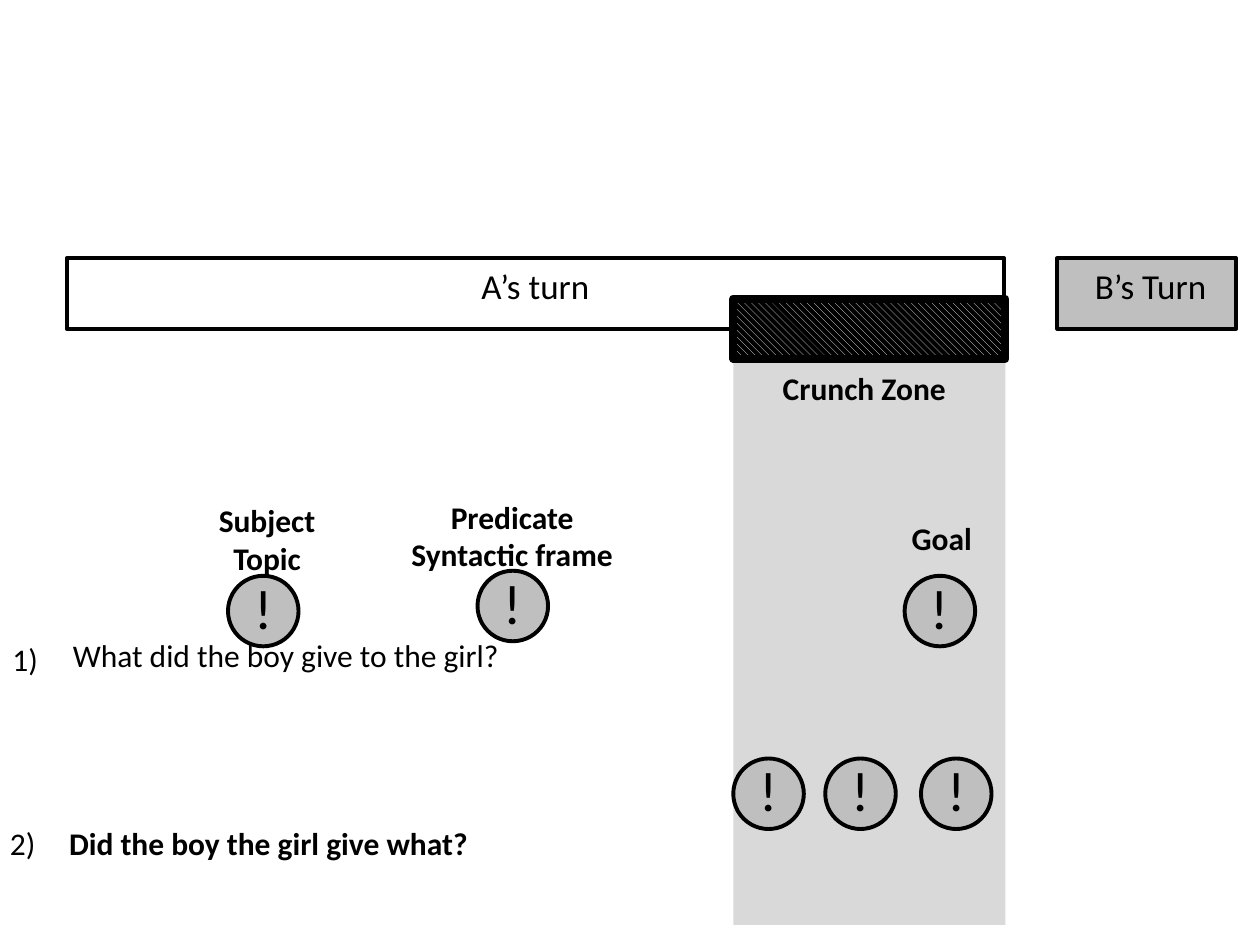
from pptx import Presentation
from pptx.dml.color import RGBColor
from pptx.enum.dml import MSO_PATTERN as PATTERN
from pptx.enum.shapes import MSO_SHAPE as SHAPE
from pptx.enum.text import MSO_ANCHOR as ANCHOR, MSO_AUTO_SIZE as AUTO_SIZE, PP_ALIGN as ALIGN
from pptx.util import Inches, Pt

BLACK = RGBColor(0x00, 0x00, 0x00)
WHITE = RGBColor(0xFF, 0xFF, 0xFF)
GREY = RGBColor(0xBF, 0xBF, 0xBF)
PALE_GREY = RGBColor(0xD9, 0xD9, 0xD9)

FONT = "Calibri"
ZONE_LEFT, ZONE_WIDTH = 5.82, 2.16
TURN_TOP, TURN_HEIGHT = 2.05, 0.56
MARK_SIZE = 0.56


def write_text(shape, text, size=18, bold=False, align=ALIGN.LEFT,
               anchor=ANCHOR.TOP, spacing=None, wrap=True):
    """Fill a shape with text, one paragraph a line."""
    frame = shape.text_frame
    frame.word_wrap = wrap
    frame.vertical_anchor = anchor
    for index, line in enumerate(text.split("\n")):
        para = frame.add_paragraph() if index else frame.paragraphs[0]
        para.alignment = align
        if spacing:
            para.line_spacing = spacing
        span = para.add_run()
        span.text = line
        span.font.name = FONT
        span.font.size = Pt(size)
        span.font.bold = bold
        span.font.color.rgb = BLACK


def add_block(page, left, top, width, height, fill=None, line=None, kind=SHAPE.RECTANGLE):
    """Add a filled shape, with a black outline if a line width is given."""
    block = page.shapes.add_shape(kind, Inches(left), Inches(top), Inches(width), Inches(height))
    block.shadow.inherit = False
    if fill is not None:
        block.fill.solid()
        block.fill.fore_color.rgb = fill
    if line:
        block.line.color.rgb = BLACK
        block.line.width = Pt(line)
    else:
        block.line.fill.background()
    return block


def add_label(page, left, top, width, text, height=0.4, wrap=False, **text_format):
    box = page.shapes.add_textbox(Inches(left), Inches(top), Inches(width), Inches(height))
    write_text(box, text, wrap=wrap, **text_format)
    box.text_frame.auto_size = AUTO_SIZE.SHAPE_TO_FIT_TEXT


def add_turn(page, left, width, text, fill):
    turn = add_block(page, left, TURN_TOP, width, TURN_HEIGHT, fill, 2.25)
    write_text(turn, text, size=20, align=ALIGN.CENTER)


def add_mark(page, left, top):
    mark = add_block(page, left, top, MARK_SIZE, MARK_SIZE, GREY, 2.25, SHAPE.OVAL)
    write_text(mark, "!", size=32, align=ALIGN.CENTER, anchor=ANCHOR.MIDDLE, spacing=0.9)


def add_crunch_bar(page):
    bar = add_block(page, ZONE_LEFT, 2.37, ZONE_WIDTH, 0.48, line=4.5)
    bar.fill.patterned()
    bar.fill.pattern = PATTERN.WIDE_DOWNWARD_DIAGONAL
    bar.fill.fore_color.rgb = WHITE
    bar.fill.back_color.rgb = BLACK


def main():
    deck = Presentation()
    deck.slide_width, deck.slide_height = Inches(10), Inches(7.5)
    page = deck.slides.add_slide(deck.slide_layouts[6])
    heading = {"bold": True, "align": ALIGN.CENTER}

    # Crunch zone column and the two turns
    add_block(page, ZONE_LEFT, 2.85, ZONE_WIDTH, 4.49, PALE_GREY)
    add_turn(page, 8.39, 1.42, " B’s Turn", GREY)
    add_turn(page, 0.53, 7.44, "A’s turn", WHITE)

    # First question, below its marks
    add_label(page, 0.48, 5, 3.63, "What did the boy give to the girl?")

    # Crunch zone bar and heading
    add_crunch_bar(page)
    add_label(page, ZONE_LEFT, 2.88, 2.08, "Crunch Zone", wrap=True, **heading)

    # Headed marks of the first question
    add_label(page, 1.63, 3.93, 0.98, "Subject\nTopic", height=0.71, **heading)
    add_mark(page, 1.81, 4.57)
    add_label(page, 3.15, 3.9, 1.83, "Predicate\nSyntactic frame", height=0.71, **heading)
    add_mark(page, 3.79, 4.53)
    add_label(page, 7.13, 4.07, 0.69, "Goal", **heading)
    add_mark(page, 7.18, 4.57)

    # Second question and its marks
    add_label(page, 0.45, 6.49, 3.4, "Did the boy the girl give what?", bold=True)
    for left in (ZONE_LEFT, 6.55, 7.31):
        add_mark(page, left, 6.02)

    # Question numbers
    add_label(page, 0, 5.03, 0.41, "1)")
    add_label(page, -0.02, 6.49, 0.41, "2)")

    deck.save("out.pptx")


main()
